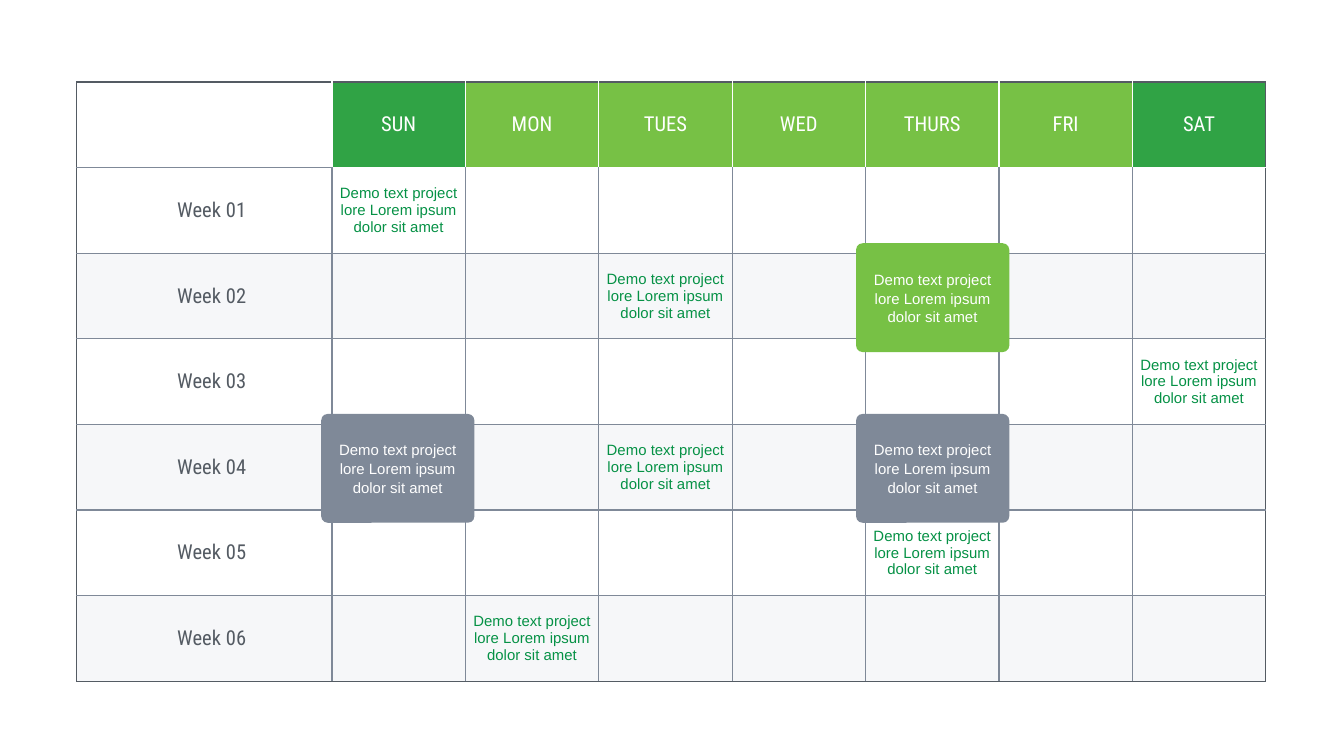
from lxml.etree import SubElement
from pptx import Presentation
from pptx.dml.color import RGBColor
from pptx.enum.shapes import MSO_SHAPE
from pptx.enum.text import MSO_ANCHOR, PP_ALIGN
from pptx.oxml.ns import qn
from pptx.util import Inches, Pt

COLORS = {
    "white": "FFFFFF",
    "dark": "545B63",
    "gray": "7F8998",
    "weekend": "30A345",
    "lime": "77C145",
    "note": "059145",
    "band": "EEF0F4",
}
DAYS = ["SUN", "MON", "TUES", "WED", "THURS", "FRI", "SAT"]
WEEKS = 6
NOTE = "Demo text project lore Lorem ipsum dolor sit amet"
NOTE_CELLS = {(1, 1), (2, 3), (3, 7), (4, 3), (5, 5), (6, 2)}
CARDS = [(6.37, 1.81, "lime"), (2.39, 3.08, "gray"), (6.37, 3.08, "gray")]
LABEL_FONT = {"name": "Roboto Condensed", "size": Pt(11)}
NOTE_FONT = {"name": "Arial", "size": Pt(8)}


def rgb(name):
    """Return the named palette colour."""
    return RGBColor.from_string(COLORS[name])


def set_attrs(obj, values):
    """Set each attribute of an object from a dict."""
    for key, value in values.items():
        setattr(obj, key, value)


def write(tf, text, font, color):
    """Write one centred paragraph of formatted text and return it."""
    p = tf.paragraphs[0]
    p.alignment = PP_ALIGN.CENTER
    r = p.add_run()
    r.text = text
    set_attrs(r.font, font)
    r.font.color.rgb = rgb(color)
    return p


def edge_colors(row, col):
    """Return the border colours of a calendar cell by tag."""
    header = row == 0
    inner = "white" if header else "gray"
    top = "dark" if header else "white" if row == 1 and col else "gray"
    bottom = "dark" if row == WEEKS else "white" if header and col else "gray"
    return {
        "a:lnL": "dark" if col == 0 else inner,
        "a:lnR": "dark" if col == len(DAYS) else inner,
        "a:lnT": top,
        "a:lnB": bottom,
    }


def add_borders(cell, edges):
    """Draw the four borders of a cell."""
    tc_pr = cell._tc.get_or_add_tcPr()
    for tag, color in edges.items():
        ln = SubElement(tc_pr, qn(tag), w=str(Pt(0.75)))
        fill = SubElement(ln, qn("a:solidFill"))
        SubElement(fill, qn("a:srgbClr"), val=COLORS[color])


def fill_cell(cell, row, col):
    """Fill a cell as a day header, a shaded week or a clear week."""
    if row == 0 and col:
        cell.fill.solid()
        cell.fill.fore_color.rgb = rgb("weekend" if col in (1, len(DAYS)) else "lime")
    elif row and row % 2 == 0:
        cell.fill.solid()
        cell.fill.fore_color.rgb = rgb("band")
        clr = cell._tc.tcPr.find(qn("a:solidFill")).find(qn("a:srgbClr"))
        SubElement(clr, qn("a:alpha"), val="50000")
    else:
        cell.fill.background()


def write_cell(cell, row, col):
    """Write the day, week or note that belongs in a cell."""
    set_attrs(cell, {
        "margin_left": Inches(0.15 if row and col == 0 else 0.04),
        "margin_right": Inches(0.04),
        "margin_top": Inches(0.02),
        "margin_bottom": Inches(0.02),
        "vertical_anchor": MSO_ANCHOR.MIDDLE,
    })
    if row == 0 and col:
        write(cell.text_frame, DAYS[col - 1], LABEL_FONT, "white")
    elif row and col == 0:
        write(cell.text_frame, f"Week {row:02d}", LABEL_FONT, "dark")
    elif (row, col) in NOTE_CELLS:
        write(cell.text_frame, NOTE, NOTE_FONT, "note")


def add_calendar(slide):
    """Add the table of weeks and days."""
    rows, cols = WEEKS + 1, len(DAYS) + 1
    frame = slide.shapes.add_table(rows, cols, Inches(0.57), Inches(0.61), Inches(8.85), Inches(4.46))
    table = frame.table
    set_attrs(table, {"first_row": False, "horz_banding": False})
    for col, column in enumerate(table.columns):
        column.width = Inches(6.95 / len(DAYS) if col else 1.9)
    for row in range(rows):
        for col in range(cols):
            cell = table.cell(row, col)
            add_borders(cell, edge_colors(row, col))
            fill_cell(cell, row, col)
            write_cell(cell, row, col)


def add_card(slide, left, top, color):
    """Add a rounded note card over the calendar."""
    sp = slide.shapes.add_shape(MSO_SHAPE.ROUNDED_RECTANGLE, Inches(left), Inches(top), Inches(1.14), Inches(0.81))
    sp.adjustments[0] = 0.06
    sp.shadow.inherit = False
    sp.fill.solid()
    sp.fill.fore_color.rgb = rgb(color)
    sp.line.fill.background()
    tf = sp.text_frame
    margins = dict.fromkeys(["margin_left", "margin_right", "margin_top", "margin_bottom"], Inches(0.02))
    set_attrs(tf, {"word_wrap": True, "vertical_anchor": MSO_ANCHOR.MIDDLE, **margins})
    p = write(tf, NOTE, NOTE_FONT, "white")
    p.line_spacing = 1.05


def main():
    """Build the calendar slide and save it."""
    prs = Presentation()
    set_attrs(prs, {"slide_width": Inches(10), "slide_height": Inches(10 * 9 / 16)})
    slide = prs.slides.add_slide(prs.slide_layouts[6])
    add_calendar(slide)
    for left, top, color in CARDS:
        add_card(slide, left, top, color)
    prs.save("out.pptx")


if __name__ == "__main__":
    main()
